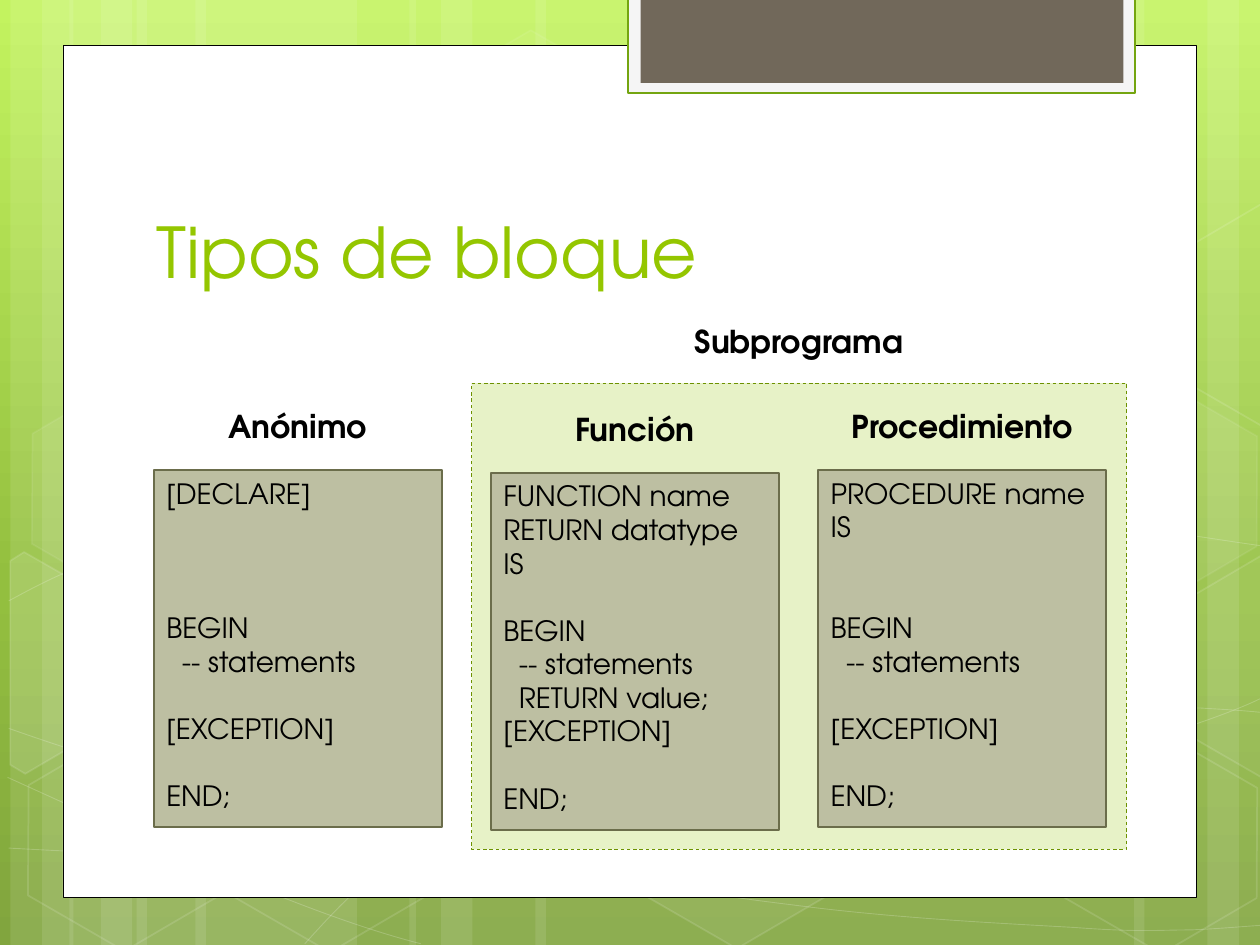
from copy import deepcopy
from math import cos, radians, sin

from lxml.etree import SubElement
from pptx import Presentation
from pptx.dml.color import RGBColor
from pptx.enum.dml import MSO_LINE
from pptx.enum.shapes import MSO_SHAPE
from pptx.enum.text import MSO_ANCHOR, PP_ALIGN
from pptx.oxml.ns import qn
from pptx.util import Pt

WIDTH, HEIGHT = 720, 540
LINE_HEIGHT = 19.2
INDENT = 8.9
TILT = 30


def color(value):
    return RGBColor.from_string(value)


def turn_back(points, center):
    cosine, sine = cos(radians(TILT)), sin(radians(TILT))
    offsets = [(x - center[0], y - center[1]) for x, y in points]
    return [(center[0] + x * cosine + y * sine, center[1] - x * sine + y * cosine)
            for x, y in offsets]


class Deck:
    """Draws styled elements on the current slide, measured in points."""

    font = "TeX Gyre Adventor"

    def __init__(self):
        self.presentation = Presentation()
        self.presentation.slide_width = Pt(WIDTH)
        self.presentation.slide_height = Pt(HEIGHT)
        self.slide = self.presentation.slides.add_slide(self.presentation.slide_layouts[6])

    def background(self, stops):
        fill = self.slide.background.fill
        fill.gradient()
        fill.gradient_angle = 270
        stop_list = self.slide.element.xpath(".//a:gsLst")[0]
        stop_list.append(deepcopy(stop_list[0]))
        for stop, (position, value) in zip(fill.gradient_stops, stops):
            stop.position = position
            stop.color.rgb = color(value)

    def opacity(self, shape, parent, percent):
        if percent < 100:
            for node in shape.element.xpath(f"./p:spPr/{parent}a:solidFill/a:srgbClr"):
                SubElement(node, qn("a:alpha")).set("val", str(percent * 1000))

    def style(self, shape, fill=None, fill_alpha=100, line=None, weight=1, line_alpha=100):
        shape.shadow.inherit = False
        if fill and fill_alpha:
            shape.fill.solid()
            shape.fill.fore_color.rgb = color(fill)
            self.opacity(shape, "", fill_alpha)
        else:
            shape.fill.background()
        if line:
            shape.line.color.rgb = color(line)
            shape.line.width = Pt(weight)
            self.opacity(shape, "a:ln/", line_alpha)
        else:
            shape.line.fill.background()
        return shape

    def shape(self, left, top, width, height, kind=MSO_SHAPE.RECTANGLE, **style):
        shape = self.slide.shapes.add_shape(kind, Pt(left), Pt(top), Pt(width), Pt(height))
        return self.style(shape, **style)

    def hexagon(self, left, top, fill_alpha, line_alpha):
        shape = self.shape(left, top, 126, 109.4, MSO_SHAPE.HEXAGON, fill="FFFFFF",
                           fill_alpha=fill_alpha, line="FFFFFF", line_alpha=line_alpha)
        shape.adjustments[0] = 0.285
        shape.adjustments[1] = 1.155
        shape.rotation = TILT

    def outline(self, points, close, **style):
        start, *rest = [(Pt(x), Pt(y)) for x, y in points]
        builder = self.slide.shapes.build_freeform(*start)
        builder.add_line_segments(rest, close=close)
        return self.style(builder.convert_to_shape(), line="FFFFFF", **style)

    def cut_hexagon(self, points, center, fill_alpha):
        shape = self.outline(turn_back(points, center), True, fill="FFFFFF",
                             fill_alpha=fill_alpha, line_alpha=12)
        shape.rotation = TILT

    def curve(self, points):
        shape = self.outline(points, False, weight=0.5, line_alpha=20)
        outline = shape.element.xpath(".//a:path")[0]
        lines = outline.xpath("./a:lnTo")
        for index in range(0, len(lines), 3):
            bend = SubElement(outline, qn("a:cubicBezTo"))
            for line in lines[index:index + 3]:
                bend.append(line[0])
                outline.remove(line)

    def format(self, paragraph, size, value="000000", bold=False):
        for run in paragraph.runs:
            run.font.name = self.font
            run.font.size = Pt(size)
            run.font.bold = bold
            run.font.color.rgb = color(value)

    def text(self, left, top, width, height, words, size=18, value="000000", bold=True,
             align=PP_ALIGN.CENTER, anchor=MSO_ANCHOR.TOP):
        box = self.slide.shapes.add_textbox(Pt(left), Pt(top), Pt(width), Pt(height))
        frame = box.text_frame
        frame.word_wrap = True
        frame.vertical_anchor = anchor
        frame.text = words
        frame.paragraphs[0].alignment = align
        self.format(frame.paragraphs[0], size, value, bold)

    def code(self, left, top, width, height, rows):
        shape = self.shape(left, top, width, height, fill="BDBFA2", line="6B6D4B", weight=1.25)
        frame = shape.text_frame
        frame.vertical_anchor = MSO_ANCHOR.TOP
        frame.text = "\n".join(words for _, _, words in rows)
        previous = -1
        for paragraph, (row, level, _) in zip(frame.paragraphs, rows):
            paragraph.alignment = PP_ALIGN.LEFT
            paragraph.space_before = Pt((row - previous - 1) * LINE_HEIGHT)
            properties = paragraph._p.get_or_add_pPr()
            properties.set("marL", str(Pt(level * INDENT)))
            properties.set("indent", "0")
            self.format(paragraph, 16)
            previous = row

    def save(self):
        self.presentation.save("out.pptx")


BANDS = [(78, 126), (6, 36), (24, 60), (111.6, 126), (39.6, 36), (57.6, 60),
         (528, 126), (690, 36), (648, 60), (306, 222), (234, 36), (252, 60)]

CURVES = [
    [(5, 484.6), (44, 486.7), (82.8, 488.9), (136.8, 488.2), (190.8, 487.4), (257.8, 486),
     (329.8, 478.8), (401.8, 471.6), (504, 457.9), (570.2, 444.2), (635.8, 430.6),
     (703.4, 409), (725, 396.7)],
    [(5, 343.4), (26, 332), (46.8, 321), (87, 310.3), (128, 299.5), (186.5, 283.7),
     (249.8, 278.6), (314, 273.6), (391.7, 272.9), (470.9, 278.6), (550, 284.4),
     (681.8, 306.7), (725, 312.5)],
    [(4.3, 444.2), (91.4, 483.8), (177.8, 523.4), (240.5, 539.3)],
    [(5, 416.2), (27.4, 424), (50.4, 432), (92.2, 443.5), (134, 454.3), (196.6, 472.3),
     (257, 484.6), (316.8, 496.8), (392.4, 509.8), (452.2, 517), (512, 524.9), (576, 527.8),
     (614.2, 530), (651.6, 532.8), (661.7, 531.4), (680.4, 531.4), (699, 530.6),
     (712, 529.2), (725, 528.5)],
    [(174.2, 539.3), (187.2, 525), (200.2, 510.5), (217.4, 497.5), (234.7, 484.6),
     (259.2, 470.2), (279.4, 460), (299.5, 450), (311.8, 445.7), (338.4, 438.5),
     (364.3, 431.3), (412.6, 421.2), (437.8, 416.2), (463.7, 411), (467.3, 411),
     (489.6, 409.7), (512, 407.5), (547.2, 405.4), (571.7, 404.6), (596.9, 404),
     (638, 404.6), (638, 404.6), (654, 404.6), (670, 404.6), (686.2, 404.6),
     (699, 405.4), (711.4, 406), (724.3, 407.5)],
]

HEXAGONS = [(240.5, 25.9, 4, 8), (357.8, 424.1, 6, 12), (7.9, 425.5, 0, 12),
            (10.1, 224.6, 7, 8), (125.3, 426.2, 0, 12), (542.2, 326.2, 10, 12),
            (600.5, 427, 0, 12), (600.5, 226.1, 7, 8)]

LEFT_CUT = [(5.8, 320.4), (13.7, 315.4), (69.1, 347), (68.4, 410.4), (14.4, 442.1), (5.8, 437)]
RIGHT_CUT = [(666.7, 349.2), (720.7, 317.5), (726.5, 321.1), (726.5, 441.4), (721.4, 444.2),
             (666.7, 412.6)]
RIGHT_STEP = 200.9
CUT_HEXAGONS = [
    (LEFT_CUT, (25.9, 385.2), 10),
    (RIGHT_CUT, (709.2, 374.4), 4),
    ([(x, y - RIGHT_STEP) for x, y in RIGHT_CUT], (709.2, 374.4 - RIGHT_STEP), 0),
]

BEGIN = [(4, 0, "BEGIN"), (5, 1, "-- statements")]
EXCEPTION = [(7, 0, "[EXCEPTION]"), (9, 0, "END;")]
BLOCKS = [
    ("Anónimo", 88, 268.6, 113, [(0, 0, "[DECLARE]")] + BEGIN + EXCEPTION),
    ("Función", 280.6, 270.1, 113,
     [(0, 0, "FUNCTION name"), (1, 0, "RETURN datatype"), (2, 0, "IS")]
     + BEGIN + [(6, 1, "RETURN value;")] + EXCEPTION),
    ("Procedimiento", 467.6, 268.6, 153.4,
     [(0, 0, "PROCEDURE name"), (1, 0, "IS")] + BEGIN + EXCEPTION),
]
BLOCK_WIDTH, BLOCK_HEIGHT = 164.4, 204

deck = Deck()
deck.background([(0, "C3F35F"), (0.62, "93BF3F"), (1, "81A53E")])
for left, width in BANDS:
    deck.shape(left, 0, width, HEIGHT, fill="FFFFFF", fill_alpha=10)
for points in CURVES:
    deck.curve(points)
for hexagon in HEXAGONS:
    deck.hexagon(*hexagon)
for cut in CUT_HEXAGONS:
    deck.cut_hexagon(*cut)

deck.shape(36, 25.8, 648, 487.2, fill="FFFFFF", line="000000", weight=0.5)
deck.shape(359, -1.4, 289.6, 54.7, fill="F5F5F5", line="74A510", weight=1.25)
deck.shape(366, -1.4, 276, 48.8, fill="71685A")

deck.text(382.7, 180.4, 147.6, 29, "Subprograma")
subprogram = deck.shape(269.5, 219, 374.4, 266.4, fill="94C600", fill_alpha=22,
                        line="6D9200", weight=0.5)
subprogram.line.dash_style = MSO_LINE.DASH
deck.text(82.4, 80.6, 553, 90, "Tipos de bloque", 40, "94C600", False,
          PP_ALIGN.LEFT, MSO_ANCHOR.BOTTOM)

for name, left, top, label_width, rows in BLOCKS:
    deck.code(left, top, BLOCK_WIDTH, BLOCK_HEIGHT, rows)
    deck.text(left + (BLOCK_WIDTH - label_width) / 2, top - 39.6, label_width, 29, name)
deck.save()
